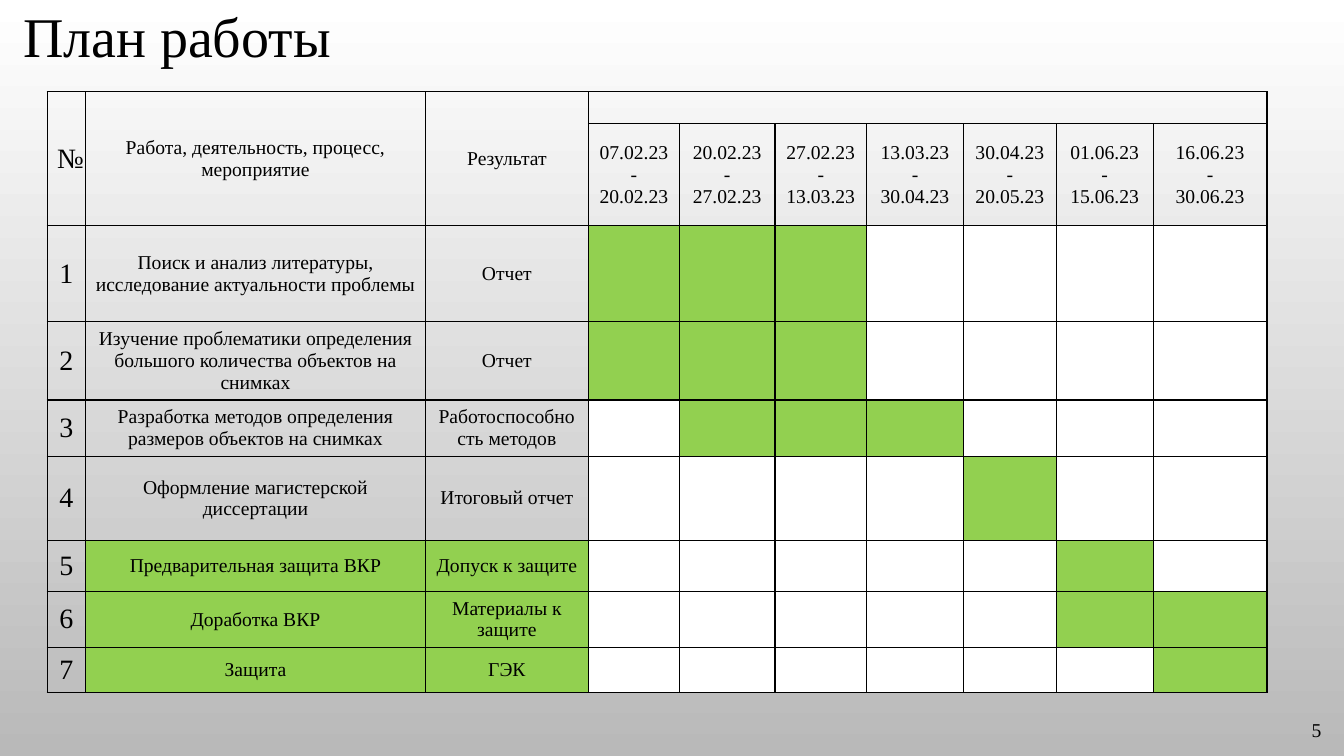
from lxml import etree
from pptx import Presentation
from pptx.dml.color import RGBColor
from pptx.enum.text import MSO_ANCHOR, PP_ALIGN
from pptx.oxml import parse_xml
from pptx.oxml.ns import nsdecls, qn
from pptx.util import Cm, Pt

GREEN, WHITE, BLACK = "92D050", "FFFFFF", "000000"

COLUMN_WIDTHS = [0.97, 8.56, 4.11, 2.29, 2.41, 2.31, 2.44, 2.34, 2.44, 2.87]
ROW_HEIGHTS = [0.81, 2.57, 2.41, 1.98, 1.42, 2.11, 1.3, 1.4, 1.14]
HEADINGS = ["№", "Работа, деятельность, процесс, мероприятие", "Результат"]
PERIODS = [
    ("07.02.23", "20.02.23"), ("20.02.23", "27.02.23"),
    ("27.02.23", "13.03.23"), ("13.03.23", "30.04.23"),
    ("30.04.23", "20.05.23"), ("01.06.23", "15.06.23"),
    ("16.06.23", "30.06.23"),
]
# work, result, first and last active period, fill of the text cells
TASKS = [
    ("Поиск и анализ литературы, исследование актуальности проблемы",
     "Отчет", 0, 2, None),
    ("Изучение проблематики определения большого количества объектов на снимках",
     "Отчет", 0, 2, None),
    ("Разработка методов определения размеров объектов на снимках",
     "Работоспособность методов", 1, 3, None),
    ("Оформление магистерской диссертации", "Итоговый отчет", 4, 4, None),
    ("Предварительная защита ВКР", "Допуск к защите", 5, 5, GREEN),
    ("Доработка ВКР", "Материалы к защите", 5, 6, GREEN),
    ("Защита", "ГЭК", 6, 6, GREEN),
]


def rgb(color):
    """Turn a hex string into a colour."""
    return RGBColor.from_string(color)


class SlideBuilder:
    """Holds the text style and the current slide."""

    font = "Times New Roman"
    color = BLACK

    def __init__(self, slide):
        """Start working on a slide."""
        self.slide = slide

    def background(self, top, bottom):
        """Fill the background with a vertical gradient."""
        fill = self.slide.background.fill
        fill.gradient()
        fill.gradient_angle = 270
        for stop, color, position in zip(fill.gradient_stops, (top, bottom), (0, 1)):
            stop.color.rgb = rgb(color)
            stop.position = position

    def paragraphs(self, frame, lines, size, align):
        """Set one paragraph per line in the common style."""
        frame.word_wrap = True
        for index, line in enumerate(lines):
            paragraph = frame.add_paragraph() if index else frame.paragraphs[0]
            paragraph.alignment = align
            run = paragraph.add_run()
            run.text = line
            run.font.name = self.font
            run.font.size = Pt(size)
            run.font.color.rgb = rgb(self.color)

    def title(self, text, left, top, width, height, size):
        """Place and format the title placeholder."""
        shape = self.slide.shapes.title
        shape.left, shape.top = Cm(left), Cm(top)
        shape.width, shape.height = Cm(width), Cm(height)
        frame = shape.text_frame
        frame.vertical_anchor = MSO_ANCHOR.MIDDLE
        self.paragraphs(frame, [text], size, PP_ALIGN.LEFT)
        frame.paragraphs[0].line_spacing = 0.9

    def text(self, text, left, top, width, height, size, align):
        """Add a text box."""
        box = self.slide.shapes.add_textbox(Cm(left), Cm(top), Cm(width), Cm(height))
        box.text_frame.vertical_anchor = MSO_ANCHOR.MIDDLE
        self.paragraphs(box.text_frame, [text], size, align)

    def table(self, left, top, widths, heights):
        """Add a plain table with black borders and transparent cells."""
        table = self.slide.shapes.add_table(
            len(heights), len(widths), Cm(left), Cm(top),
            Cm(sum(widths)), Cm(sum(heights))).table
        table.first_row = table.horz_banding = False
        for column, width in zip(table.columns, widths):
            column.width = Cm(width)
        for row, height in zip(table.rows, heights):
            row.height = Cm(height)
        for cell in table.iter_cells():
            self.borders(cell)
            self.cell(cell)
        return table

    def borders(self, cell):
        """Draw a thin line on the four sides of a cell."""
        properties = cell._tc.get_or_add_tcPr()
        for side in ("lnL", "lnR", "lnT", "lnB"):
            properties.append(parse_xml(
                f'<a:{side} {nsdecls("a")} w="12700"><a:solidFill>'
                f'<a:srgbClr val="{BLACK}"/></a:solidFill></a:{side}>'))

    def cell(self, cell, lines=(), size=14, fill=None):
        """Fill a cell and set its centred lines."""
        cell.vertical_anchor = MSO_ANCHOR.MIDDLE
        cell.margin_left = cell.margin_right = Cm(0.25)
        if fill:
            cell.fill.solid()
            cell.fill.fore_color.rgb = rgb(fill)
        else:
            cell.fill.background()
        paragraph = cell.text_frame.paragraphs[0]._p
        for end in paragraph.findall(qn("a:endParaRPr")):
            paragraph.remove(end)
        if lines:
            self.paragraphs(cell.text_frame, lines, size, PP_ALIGN.CENTER)
        else:
            # a small font keeps blank cells from stretching their row
            etree.SubElement(paragraph, qn("a:endParaRPr"), sz="1000")


def fill_plan(builder, table):
    """Set the headings, the periods and the bars of the work plan."""
    first_period = len(HEADINGS)
    for column, heading in enumerate(HEADINGS):
        table.cell(0, column).merge(table.cell(1, column))
        builder.cell(table.cell(0, column), [heading], 14 if column else 20)
    table.cell(0, first_period).merge(table.cell(0, len(COLUMN_WIDTHS) - 1))
    for column, (start, end) in enumerate(PERIODS, first_period):
        builder.cell(table.cell(1, column), [start, "-", end])

    for number, (work, result, first, last, fill) in enumerate(TASKS, 1):
        row = number + 1
        builder.cell(table.cell(row, 0), [str(number)], 20)
        builder.cell(table.cell(row, 1), [work], fill=fill)
        builder.cell(table.cell(row, 2), [result], fill=fill)
        for period in range(len(PERIODS)):
            active = first <= period <= last
            builder.cell(table.cell(row, first_period + period),
                         fill=GREEN if active else WHITE)


def main():
    """Build the work plan slide."""
    presentation = Presentation()
    presentation.slide_width, presentation.slide_height = Cm(33.87), Cm(19.05)
    layout = presentation.slide_layouts.get_by_name("Title Only")
    builder = SlideBuilder(presentation.slides.add_slide(layout))
    builder.background(WHITE, "B9B9B9")
    builder.title("План работы", 0.33, 0.1, 28.78, 1.78, 40)
    fill_plan(builder, builder.table(1.19, 2.31, COLUMN_WIDTHS, ROW_HEIGHTS))
    builder.text("5", 31.42, 17.88, 2.13, 1.02, 14, PP_ALIGN.RIGHT)
    presentation.save("out.pptx")


main()
